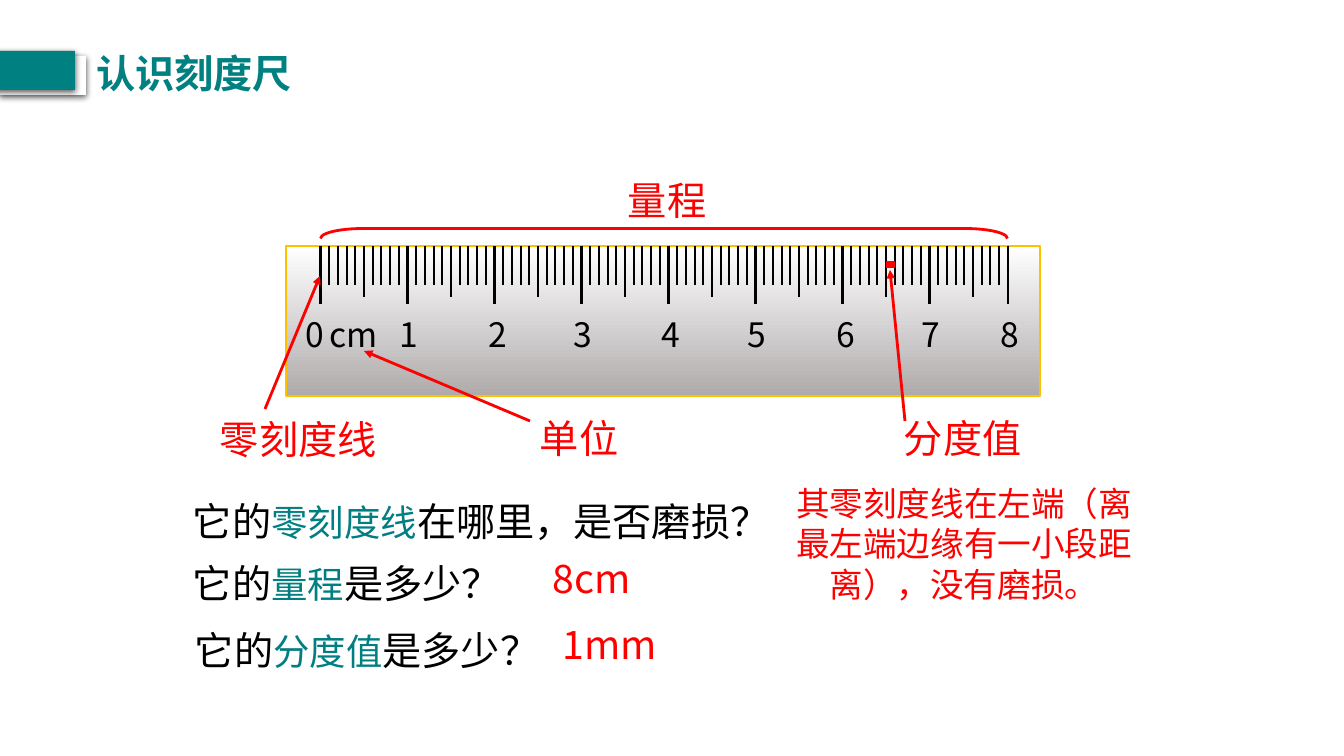
from lxml.etree import SubElement
from pptx import Presentation
from pptx.dml.color import RGBColor
from pptx.enum.shapes import MSO_CONNECTOR as Connector, MSO_SHAPE as Shape
from pptx.enum.text import MSO_ANCHOR as Anchor, MSO_AUTO_SIZE as AutoSize, PP_ALIGN as Align
from pptx.oxml.ns import qn
from pptx.util import Pt

PX = 914400 / 100.8
FONT = "Noto Sans CJK SC"
RED, BLACK, TEAL, TERM = "FF0000", "000000", "008080", "007E82"

TITLE = ("认识刻度尺", (86, 44, 377, 57))
TITLE_BARS = [((0, 56, 86, 39), "FFFFFF"), ((-11, 51, 86, 39), TEAL)]
QUESTIONS = [
    ((183, 469, 620, 82), 1.5, "零刻度线", "在哪里，是否磨损？"),
    ((183, 554, 321, 57), 1, "量程", "是多少？"),
    ((185, 621, 363, 57), 1, "分度值", "是多少？"),
]
ANSWERS = [
    ("其零刻度线在左端（离最左端边缘有一小段距离），没有磨损。", (780, 478, 368, 132), 24, Align.CENTER),
    ("8cm", (543, 549, 146, 57), 28, Align.LEFT),
    ("1mm", (553, 615, 146, 57), 28, Align.LEFT),
]
CALLOUTS = [
    ("单位", (530, 409, 99, 57)),
    ("零刻度线", (210, 410, 177, 57)),
    ("量程", (618, 171, 99, 57)),
    ("分度值", (894, 409, 138, 57)),
]
ARROWS = [(530, 421, 364, 351), (265, 409, 320, 276), (905, 421, 890, 270)]
DIVISION = (895, 265, 886, 265)
RULER = (286, 246, 754, 150)
RANGE_BRACKET = (659, -110, 10, 687)
NUMBER_LEFTS = [296, 390, 479, 564, 652, 738, 827, 912, 991]
NUMBER_TOP = 309
UNIT = ("cm", (320, 309, 70, 51))
ZERO_X, TICK_PITCH, LAST_TICK = 320.5, 8.7, 79


def emu(values):
    return [round(value * PX) for value in values]


def rgb(code):
    return RGBColor.from_string(code)


def add_run(paragraph, text, size, color, bold=False):
    run = paragraph.add_run()
    run.text = text
    font = run.font
    font.name, font.size, font.bold = FONT, Pt(size), bold
    font.color.rgb = rgb(color)
    SubElement(run._r.get_or_add_rPr(), qn("a:ea"), typeface=FONT)


def add_label(box, runs, align=Align.LEFT, spacing=1, wrap=True):
    frame = slide.shapes.add_textbox(*emu(box)).text_frame
    frame.word_wrap = wrap
    paragraph = frame.paragraphs[0]
    paragraph.alignment, paragraph.line_spacing = align, spacing
    for run in runs:
        add_run(paragraph, *run)


def add_line(ends, color, width, arrow=False):
    line = slide.shapes.add_connector(Connector.STRAIGHT, *emu(ends))
    line.line.color.rgb = rgb(color)
    line.line.width = Pt(width)
    if arrow:
        SubElement(line.line._get_or_add_ln(), qn("a:tailEnd"), type="triangle")
    SubElement(line._element.spPr, qn("a:effectLst"))


def add_plain_shape(kind, box):
    shape = slide.shapes.add_shape(kind, *emu(box))
    shape.shadow.inherit = False
    return shape


def add_drop_shadow(shape):
    effects = shape._element.spPr.find(qn("a:effectLst"))
    shadow = SubElement(effects, qn("a:outerShdw"), blurRad=str(Pt(4.5)), dist=str(Pt(1.5)),
                        dir="5400000", algn="t", rotWithShape="0")
    color = SubElement(shadow, qn("a:srgbClr"), val=BLACK)
    SubElement(color, qn("a:alpha"), val="63000")


def add_ruler():
    body = add_plain_shape(Shape.RECTANGLE, RULER)
    body.fill.gradient()
    body.fill.gradient_angle = 90
    for stop, (position, color) in zip(body.fill.gradient_stops, [(0, "AFABAB"), (1, "FFFFFF")]):
        stop.position, stop.color.rgb = position, rgb(color)
    body.line.color.rgb = rgb("FFC000")
    body.line.width = Pt(1)

    top = RULER[1]
    for tick in range(LAST_TICK + 1):
        x = ZERO_X + tick * TICK_PITCH
        if tick % 10 == 0 or tick == LAST_TICK:
            length, width = 58, 1.75
        elif tick % 5 == 0:
            length, width = 51, 1.5
        else:
            length, width = 39, 1.5
        add_line((x, top, x, top + length), BLACK, width)

    for number, left in enumerate(NUMBER_LEFTS):
        add_label((left, NUMBER_TOP, 50, 50), [(str(number), 24, BLACK)])
    unit, box = UNIT
    add_label(box, [(unit, 24, BLACK)])


def add_title():
    for box, color in TITLE_BARS:
        bar = add_plain_shape(Shape.RECTANGLE, box)
        bar.fill.solid()
        bar.fill.fore_color.rgb = rgb(color)
        bar.line.fill.background()
        add_drop_shadow(bar)
    heading, box = TITLE
    title = slide.shapes.title
    title.left, title.top, title.width, title.height = emu(box)
    frame = title.text_frame
    frame.auto_size, frame.vertical_anchor, frame.word_wrap = AutoSize.NONE, Anchor.TOP, True
    paragraph = frame.paragraphs[0]
    paragraph.alignment, paragraph.line_spacing = Align.LEFT, 1
    add_run(paragraph, heading, 28, TEAL, True)


deck = Presentation()
deck.slide_width, deck.slide_height = emu((1344, 756))
slide = deck.slides.add_slide(deck.slide_layouts[5])

for box, spacing, term, ending in QUESTIONS:
    add_label(box, [("它的", 28, BLACK), (term, 26, TERM), (ending, 28, BLACK)], spacing=spacing)
for answer, box, size, align in ANSWERS:
    add_label(box, [(answer, size, RED)], align)
for callout, box in CALLOUTS:
    add_label(box, [(callout, 28, RED)], wrap=False)

bracket = add_plain_shape(Shape.RIGHT_BRACKET, RANGE_BRACKET)
bracket.rotation = 270
bracket.adjustments[0] = 4.23
bracket.fill.background()
bracket.line.color.rgb = rgb(RED)
bracket.line.width = Pt(2)

add_ruler()
for ends in ARROWS:
    add_line(ends, RED, 2, arrow=True)
add_line(DIVISION, RED, 5)
add_title()

deck.save("out.pptx")
